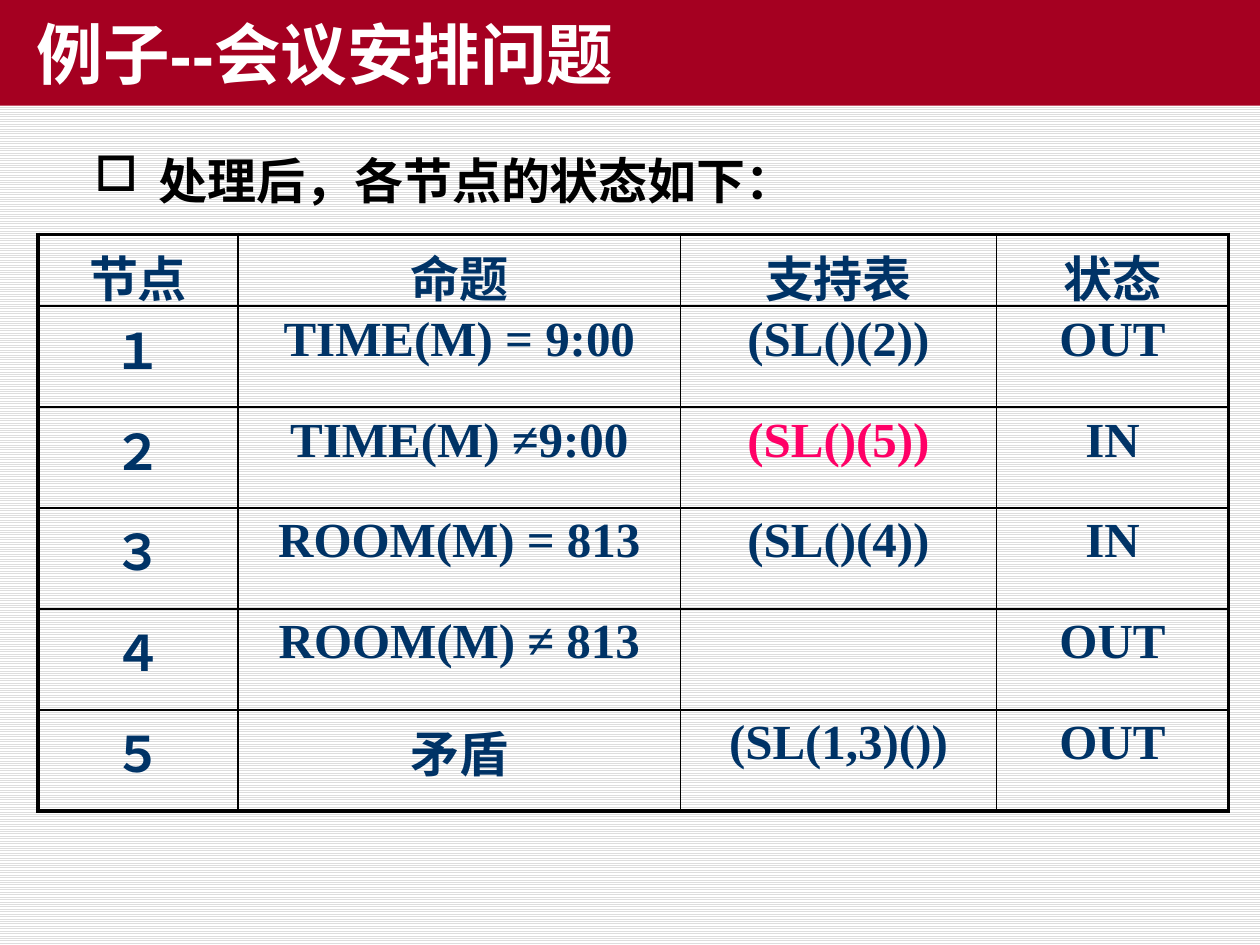
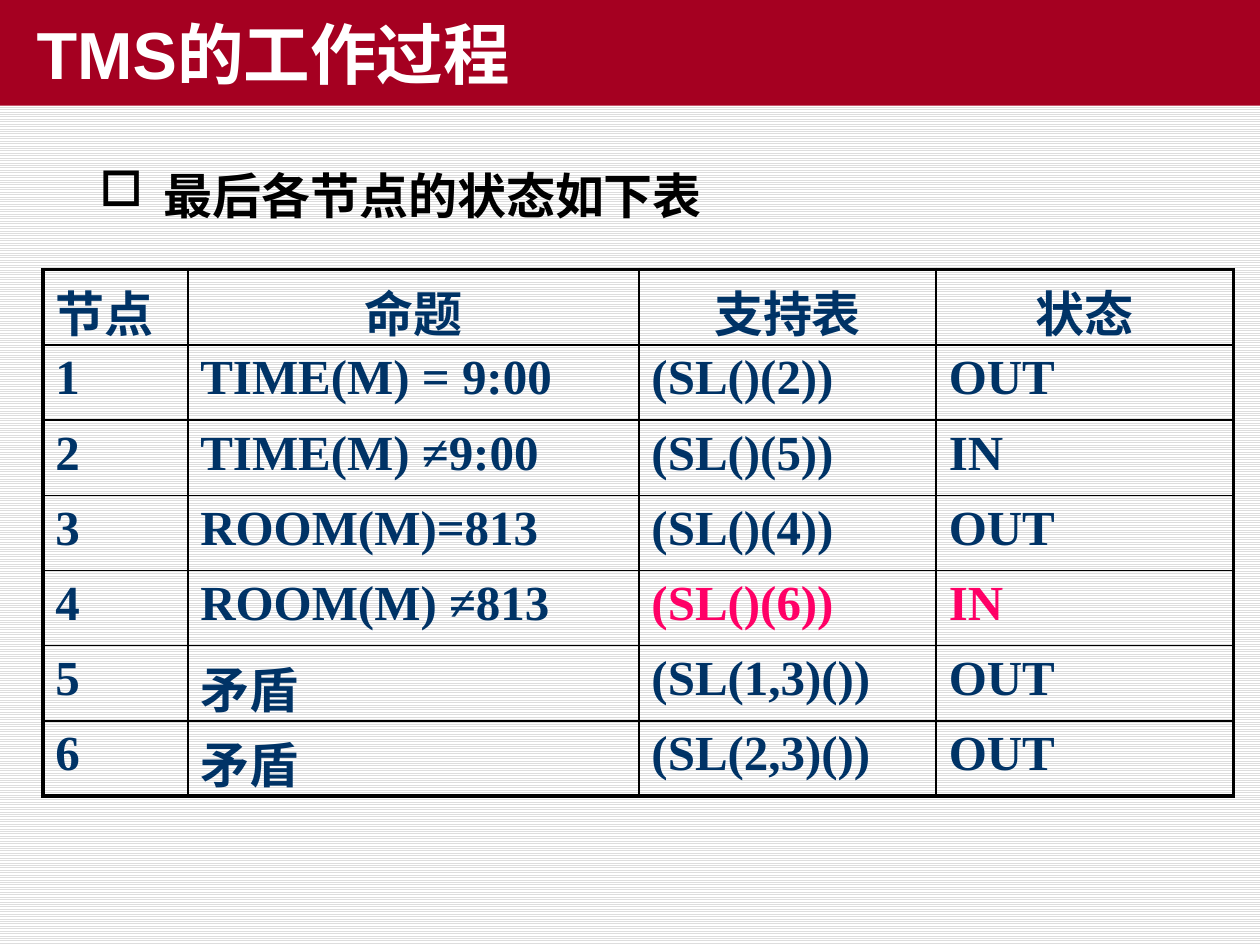
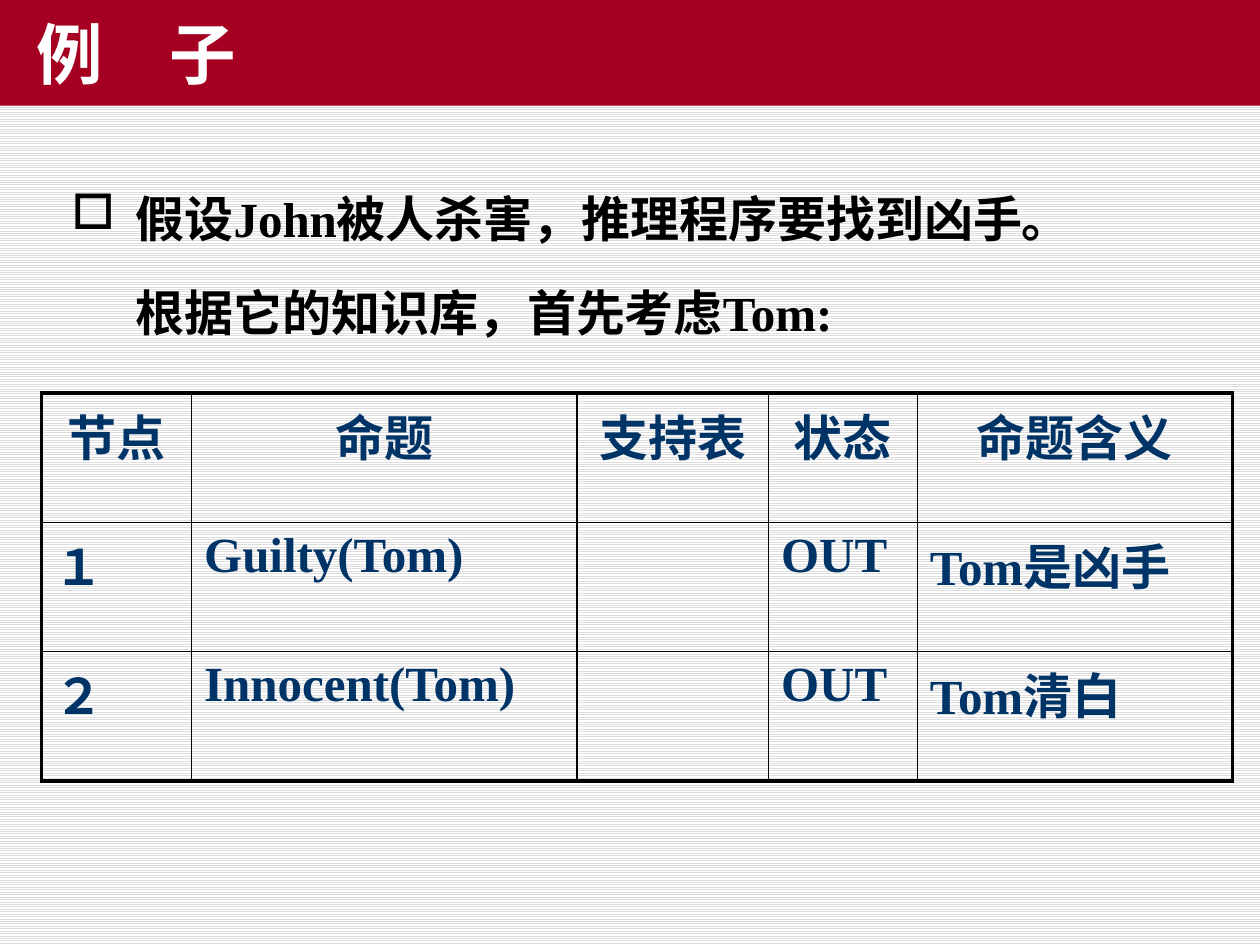
from lxml import etree
from pptx import Presentation
from pptx.dml.color import RGBColor
from pptx.enum import dml, text
from pptx.oxml import ns
from pptx.util import Pt

COLORS = {"band": "A50021", "title": "FFFFFF", "body": "000000", "cell": "003366",
          "mark": "FF0066", "border": "000000", "stripe": "DDDDDD", "page": "FFFFFF"}
SANS, SERIF = "Arial", "Times New Roman"
WIDTH, HEIGHT, BAND_HEIGHT = 720, 540, 60.4
HANG = 36.7
OUTER, INNER = 2.25, 1
FULL_WIDTH_DIGITS = "１２３４５"
ALIGN = {"l": text.PP_ALIGN.LEFT, "c": text.PP_ALIGN.CENTER}

# Content: boxes are left, top, width, height; marks are (row, column)
SLIDES = [
    {"title": "例子--会议安排问题",
     "body": "处理后，各节点的状态如下：", "box": (46.8, 75.6, 470, 57), "font": SANS, "spacing": 1.2,
     "at": (21.6, 133.9), "cols": (114.5, 252.7, 180.7, 132.5), "heights": (41, 57.7),
     "head_align": "cccc", "row_align": "c", "marks": {(2, 2)},
     "rows": [("节点", "命题", "支持表", "状态"),
              ("１", "TIME(M) = 9:00", "(SL()(2))", "OUT"),
              ("２", "TIME(M) ≠9:00", "(SL()(5))", "IN"),
              ("３", "ROOM(M) = 813", "(SL()(4))", "IN"),
              ("４", "ROOM(M) ≠ 813", "", "OUT"),
              ("５", "矛盾", "(SL(1,3)())", "OUT")]},
    {"title": "TMS的工作过程",
     "body": "最后各节点的状态如下表", "box": (49.7, 84.2, 516, 47), "font": SANS, "spacing": 1.2,
     "at": (24.5, 154.1), "cols": (82.8, 257.8, 169.9, 169.9), "heights": (43, 43),
     "head_align": "lccc", "row_align": "l", "marks": {(4, 2), (4, 3)},
     "rows": [("节点", "命题", "支持表", "状态"),
              ("1", "TIME(M) = 9:00", "(SL()(2))", "OUT"),
              ("2", "TIME(M) ≠9:00", "(SL()(5))", "IN"),
              ("3", "ROOM(M)=813", "(SL()(4))", "OUT"),
              ("4", "ROOM(M) ≠813", "(SL()(6))", "IN"),
              ("5", "矛盾", "(SL(1,3)())", "OUT"),
              ("6", "矛盾", "(SL(2,3)())", "OUT")]},
    {"title": "例　子",
     "body": "假设John被人杀害，推理程序要找到凶手。根据它的知识库，首先考虑Tom:",
     "box": (33.8, 84.2, 595.4, 110), "font": SERIF, "spacing": 1.6,
     "at": (23.8, 224.6), "cols": (85.7, 220.3, 109.4, 85, 180), "heights": (73.9, 73.9),
     "head_align": "ccccc", "row_align": "l", "marks": set(),
     "rows": [("节点", "命题", "支持表", "状态", "命题含义"),
              ("１", "Guilty(Tom)", "", "OUT", "Tom是凶手"),
              ("２", "Innocent(Tom)", "", "OUT", "Tom清白")]},
]


def rgb(name):
    return RGBColor.from_string(COLORS[name])


def write(p, words, font, size, color):
    r = p.add_run()
    r.text = words
    for key, value in {"name": font, "size": Pt(size), "bold": True}.items():
        setattr(r.font, key, value)
    r.font.color.rgb = rgb(color)


def indent(p, margin, first):
    pPr = p._p.get_or_add_pPr()
    pPr.set("marL", str(Pt(margin)))
    pPr.set("indent", str(Pt(first)))
    return pPr


def add_title(s, words):
    sp = s.shapes.title
    for key, value in zip(("left", "top", "width", "height"), (0, 0, WIDTH, BAND_HEIGHT)):
        setattr(sp, key, Pt(value))
    sp.fill.solid()
    sp.fill.fore_color.rgb = rgb("band")
    tf = sp.text_frame
    for key, value in {"vertical_anchor": text.MSO_ANCHOR.MIDDLE, "word_wrap": True,
                       "auto_size": text.MSO_AUTO_SIZE.NONE}.items():
        setattr(tf, key, value)
    p = tf.paragraphs[0]
    indent(p, 0, 13.7)
    p.alignment = ALIGN["l"]
    write(p, words, SANS, 38, "title")


def add_body(s, item):
    tf = s.shapes.add_textbox(*map(Pt, item["box"])).text_frame
    tf.word_wrap = True
    p = tf.paragraphs[0]
    pPr = indent(p, HANG, -HANG)
    etree.SubElement(pPr, ns.qn("a:buChar")).set("char", "□")
    p.line_spacing = item["spacing"]
    write(p, item["body"], item["font"], 28, "body")


def set_borders(cell, outer):
    tcPr = cell._tc.get_or_add_tcPr()
    for side in "LRTB":
        ln = etree.SubElement(tcPr, ns.qn("a:ln" + side))
        ln.set("w", str(Pt(OUTER if side in outer else INNER)))
        fill = etree.SubElement(ln, ns.qn("a:solidFill"))
        etree.SubElement(fill, ns.qn("a:srgbClr")).set("val", COLORS["border"])


def add_grid(s, item):
    rows, cols, (head, rest) = item["rows"], item["cols"], item["heights"]
    heights = [head] + [rest] * (len(rows) - 1)
    box = (*item["at"], sum(cols), sum(heights))
    table = s.shapes.add_table(len(rows), len(cols), *map(Pt, box)).table
    table.first_row = table.horz_banding = False
    for column, width in zip(table.columns, cols):
        column.width = Pt(width)
    for row, height in zip(table.rows, heights):
        row.height = Pt(height)
    for i, row in enumerate(rows):
        for j, words in enumerate(row):
            cell = table.cell(i, j)
            edges = {"L": j == 0, "R": j == len(cols) - 1, "T": i == 0, "B": i == len(rows) - 1}
            set_borders(cell, [side for side in edges if edges[side]])
            cell.fill.background()
            if words:
                p = cell.text_frame.paragraphs[0]
                p.alignment = ALIGN[item["head_align"][j] if i == 0 else item["row_align"]]
                font = SANS if i == 0 or words in FULL_WIDTH_DIGITS else SERIF
                write(p, words, font, 28, "mark" if (i, j) in item["marks"] else "cell")


def main():
    prs = Presentation()
    prs.slide_width, prs.slide_height = Pt(WIDTH), Pt(HEIGHT)

    # Striped page shared by all slides
    fill = prs.slide_master.background.fill
    fill.patterned()
    fill.pattern = dml.MSO_PATTERN.LIGHT_HORIZONTAL
    fill.fore_color.rgb = rgb("stripe")
    fill.back_color.rgb = rgb("page")

    for item in SLIDES:
        s = prs.slides.add_slide(prs.slide_layouts[5])
        add_title(s, item["title"])
        add_body(s, item)
        add_grid(s, item)
    prs.save("out.pptx")


if __name__ == "__main__":
    main()
